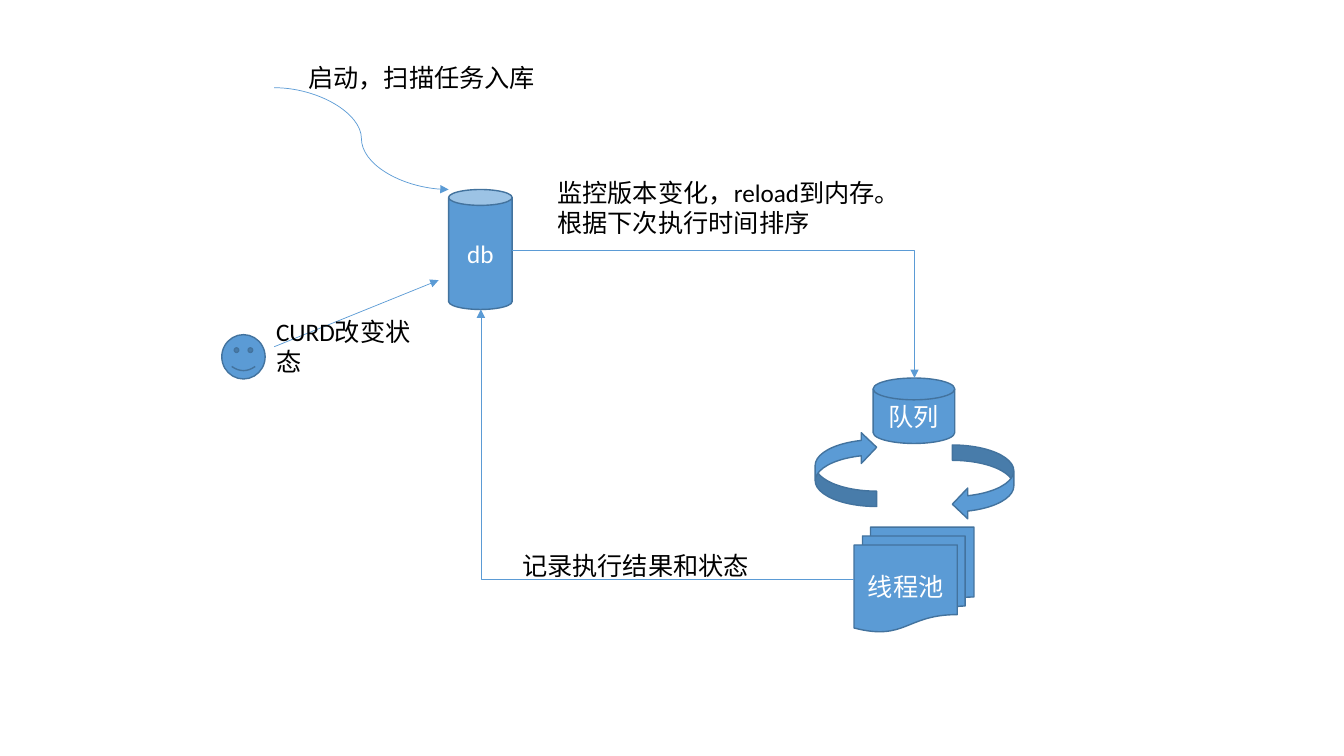
from lxml import etree
from pptx import Presentation
from pptx.dml.color import RGBColor
from pptx.enum import shapes, text
from pptx.oxml.ns import qn
from pptx.util import Inches, Pt

BLUE, OUTLINE, WHITE, BLACK = "5B9BD5", "43739E", "FFFFFF", "000000"
SHAPE = shapes.MSO_SHAPE


def color(value):
    return RGBColor.from_string(value)


def write(box, content, ink=BLACK, size=18, align=text.PP_ALIGN.LEFT, wrap=True):
    frame = box.text_frame
    frame.word_wrap = wrap
    frame.text = content
    for para in frame.paragraphs:
        para.alignment = align
        for span in para.runs:
            span.font.name = "Calibri"
            span.font.size = Pt(size)
            span.font.color.rgb = color(ink)


def add_node(page, kind, left, top, width, height, label="", rotation=0):
    node = page.shapes.add_shape(
        kind, Inches(left), Inches(top), Inches(width), Inches(height))
    node.shadow.inherit = False
    node.fill.solid()
    node.fill.fore_color.rgb = color(BLUE)
    node.line.color.rgb = color(OUTLINE)
    node.line.width = Pt(1)
    node.rotation = rotation
    if label:
        node.text_frame.vertical_anchor = text.MSO_ANCHOR.MIDDLE
        write(node, label, ink=WHITE, align=text.PP_ALIGN.CENTER)


def add_note(page, left, top, width, height, content, wrap=False):
    box = page.shapes.add_textbox(
        Inches(left), Inches(top), Inches(width), Inches(height))
    write(box, content, wrap=wrap)
    box.text_frame.auto_size = text.MSO_AUTO_SIZE.SHAPE_TO_FIT_TEXT


def add_arrow(page, start, end, preset):
    """Draw a connector of the given preset geometry with a head at its end."""
    arrow = page.shapes.add_connector(
        shapes.MSO_CONNECTOR.STRAIGHT, *map(Inches, start + end))
    arrow.line.color.rgb = color(BLUE)
    arrow.line.width = Pt(0.5)
    properties = arrow._element.spPr
    properties.find(qn("a:prstGeom")).set("prst", preset)
    etree.SubElement(properties.find(qn("a:ln")), qn("a:tailEnd"), type="triangle")
    etree.SubElement(properties, qn("a:effectLst"))


def main():
    deck = Presentation()
    deck.slide_width, deck.slide_height = Inches(13.33), Inches(7.5)
    page = deck.slides.add_slide(deck.slide_layouts[6])

    add_node(page, SHAPE.CAN, 4.45, 1.88, 0.63, 1.19, "db")
    add_arrow(page, (2.72, 0.87), (4.45, 1.88), "curvedConnector3")
    add_note(page, 2.96, 0.57, 2.47, 0.4, "启动，扫描任务入库")
    add_note(page, 5.43, 1.71, 3.63, 0.71,
             "监控版本变化，reload到内存。\n根据下次执行时间排序")

    add_node(page, SHAPE.FLOWCHART_MAGNETIC_DISK, 8.66, 3.75, 0.81, 0.65, "队列")
    add_node(page, SHAPE.FLOWCHART_MULTIDOCUMENT, 8.47, 5.23, 1.19, 1.04, "线程池")
    for left, top, rotation in ((8.02, 4.35, 270), (9.38, 4.48, 90)):
        add_node(page, SHAPE.CURVED_DOWN_ARROW, left, top, 0.74, 0.61,
                 rotation=rotation)

    add_arrow(page, (8.47, 5.75), (4.77, 3.07), "bentConnector2")
    add_note(page, 5.08, 5.41, 2.47, 0.4, "记录执行结果和状态")
    add_arrow(page, (5.08, 2.48), (9.07, 3.75), "bentConnector2")

    add_arrow(page, (2.72, 3.44), (4.35, 2.78), "line")
    add_node(page, SHAPE.SMILEY_FACE, 2.2, 3.32, 0.43, 0.44)
    add_note(page, 2.64, 3.09, 1.6, 0.4, "CURD改变状态", wrap=True)

    deck.save("out.pptx")


if __name__ == "__main__":
    main()
